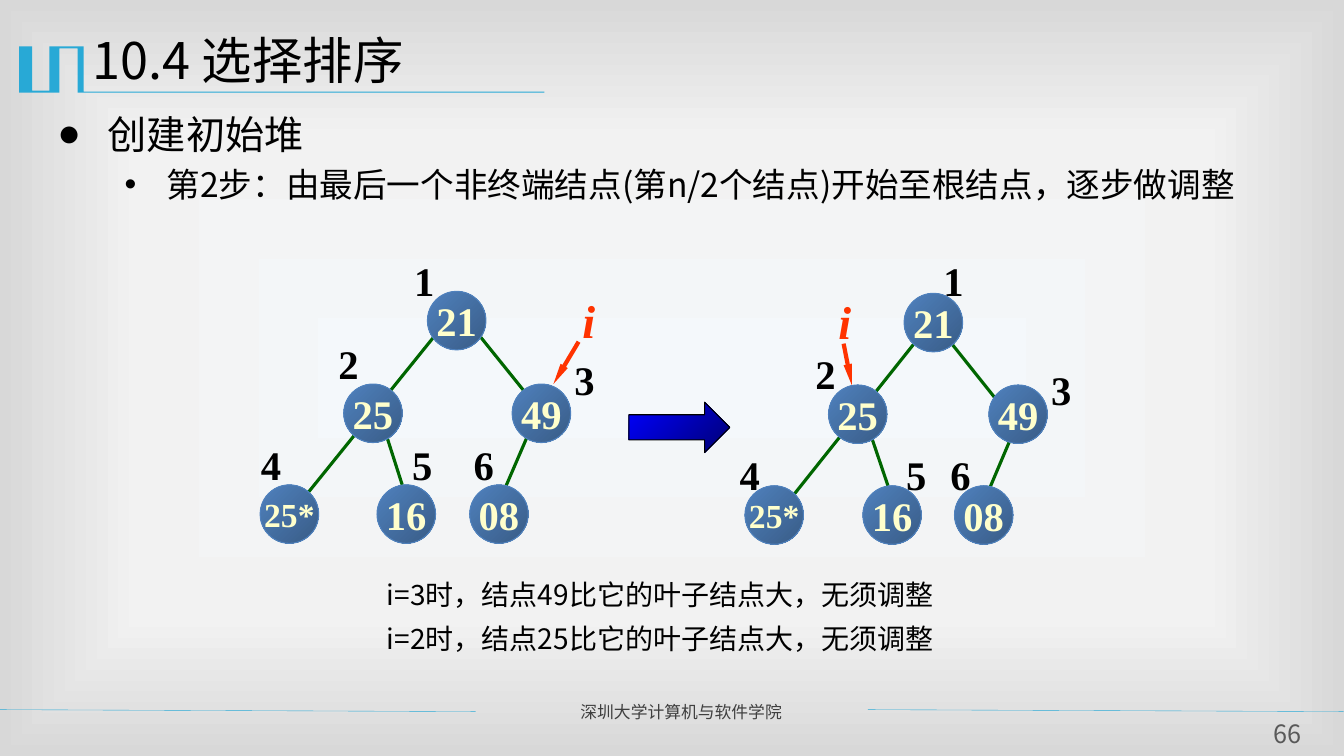
import copy

import lxml.etree
import pptx
import pptx.dml.color
import pptx.enum.shapes
import pptx.enum.text
import pptx.oxml
import pptx.oxml.ns
import pptx.util

TITLE = "10.4 选择排序"
OUTLINE = [
    ("创建初始堆", 28, "●", 36, 36),
    ("第2步：由最后一个非终端结点(第n/2个结点)开始至根结点，逐步做调整", 24, "•", 78, 30),
]
NOTES = [
    "i=3时，结点49比它的叶子结点大，无须调整",
    "i=2时，结点25比它的叶子结点大，无须调整",
]
FOOTER = "深圳大学计算机与软件学院"
PAGE_NUMBER = "66"

KEYS = ["21", "25", "49", "25*", "16", "08"]
TREES = [
    {
        "nodes": [(305.3, 208.1), (245.5, 274.3), (365.8, 274.3),
                  (185.8, 346.3), (269.3, 346.3), (335.5, 346.3)],
        "numbers": [(288.7, 179.3), (234.7, 238.3), (403.2, 249.8),
                    (179.3, 311), (287.3, 311), (331.2, 311)],
        "edges": [(377.3, 310.3, 359.3, 352.1), (275.8, 310.3, 287.3, 346.3),
                  (341.3, 238.3, 389.5, 298.1), (311.8, 238.3, 215.3, 357.8)],
        "pointer": (413.3, 244.1, 395.3, 274.3),
        "i": (409, 205.2),
    },
    {
        "nodes": [(645.8, 209.5), (591.8, 275), (706.3, 275),
                  (532.1, 347), (616.3, 347), (681.8, 347)],
        "numbers": [(666.7, 179.3), (575.3, 245.5), (743.8, 257),
                    (521.3, 317.5), (640.1, 317.5), (671.8, 317.5)],
        "edges": [(722.9, 311, 704.9, 353.5), (622.1, 311, 634.3, 347),
                  (674.6, 239, 722.9, 299.5), (658.1, 239, 562.3, 359.3)],
        "pointer": (602.6, 245.5, 608.4, 275),
        "i": (591.8, 205.9),
    },
]
NODE_SIZE = 41.8
BANNER = [(59.8, 33.1), (59.8, 65.5), (388.8, 65.5), (388.8, 66.2), (55.4, 66.2),
          (55.4, 34.6), (42.5, 34.6), (42.5, 66.2), (13.7, 66.2), (13.7, 33.1),
          (23, 33.1), (23, 64.8), (35.3, 64.8), (35.3, 33.1)]
FOOTER_LINES = [(-0.7, 506.9, 339.8, 508.3), (619.9, 506.9, 959.8, 508.3)]

COLORS = {
    "center": "F4F8FB", "middle": "F2F2F2", "rim": "D8D8D8", "accent": "28A9D6",
    "text": "000000", "footer": "3F3F3F", "number": "595959", "edge": "006600",
    "node": "4F81BD", "node_dark": "395C87", "key": "FFFFCC", "pointer": "FF3300",
    "arrow": "0000FF", "arrow_dark": "000076",
}
SANS = {"name": "Noto Sans CJK SC"}
SERIF = {"name": "Times New Roman", "bold": True}
NO_WRAP = {"word_wrap": False}
NO_MARGINS = {side: 0 for side in ("margin_left", "margin_right", "margin_top", "margin_bottom")}
ALIGN = pptx.enum.text.PP_ALIGN
SHAPE = pptx.enum.shapes.MSO_SHAPE

deck = pptx.Presentation()
deck.slide_width, deck.slide_height = pptx.util.Pt(960), pptx.util.Pt(540)
page = deck.slides.add_slide(deck.slide_layouts[1])


def points(*values):
    return [pptx.util.Pt(value) for value in values]


def rgb(name):
    return pptx.dml.color.RGBColor.from_string(COLORS[name])


def apply(target, values):
    for name, value in values.items():
        setattr(target, name, value)


def write(para, text, size, color, font):
    span = para.add_run()
    span.text = text
    apply(span.font, {**font, "size": pptx.util.Pt(size)})
    span.font.color.rgb = rgb(color)
    east = lxml.etree.SubElement(span.font._element, pptx.oxml.ns.qn("a:ea"))
    east.set("typeface", font["name"])


def place(box, left, top, width, height):
    names = ("left", "top", "width", "height")
    apply(box, dict(zip(names, points(left, top, width, height))))


def add_text(bounds, text, size, color, font, frame={}, align=ALIGN.LEFT):
    box = page.shapes.add_textbox(*points(*bounds))
    apply(box.text_frame, {"word_wrap": True, **frame})
    para = box.text_frame.paragraphs[0]
    para.alignment = align
    write(para, text, size, color, font)
    return box


def add_line(ends, color, width):
    line = page.shapes.add_connector(pptx.enum.shapes.MSO_CONNECTOR.STRAIGHT, *points(*ends))
    line.line.color.rgb = rgb(color)
    line.line.width = pptx.util.Pt(width)
    lxml.etree.SubElement(line._element.spPr, pptx.oxml.ns.qn("a:effectLst"))
    return line


def add_shaded(kind, bounds, start, end, outline):
    shape = page.shapes.add_shape(kind, *points(*bounds))
    shape.shadow.inherit = False
    shape.fill.gradient()
    shape.fill.gradient_angle = 315
    for stop, color, position in zip(shape.fill.gradient_stops, (start, end), (0, 1)):
        stop.color.rgb = rgb(color)
        stop.position = position
    shape.line.color.rgb = rgb(outline)
    shape.line.width = pptx.util.Pt(0.75)
    return shape


def paint_background():
    fill = page.background.fill
    fill.gradient()
    gradient = page.background._cSld.bg.bgPr.find(pptx.oxml.ns.qn("a:gradFill"))
    stops = gradient.find(pptx.oxml.ns.qn("a:gsLst"))
    stops.append(copy.deepcopy(stops[0]))
    for stop, color, position in zip(fill.gradient_stops, ("center", "middle", "rim"), (0, 0.63, 1)):
        stop.color.rgb = rgb(color)
        stop.position = position
    shading = pptx.oxml.parse_xml(
        '<a:path xmlns:a="http://schemas.openxmlformats.org/drawingml/2006/main" path="rect">'
        '<a:fillToRect l="50000" t="50000" r="50000" b="50000"/></a:path>')
    gradient.replace(gradient.find(pptx.oxml.ns.qn("a:lin")), shading)


def add_banner():
    builder = page.shapes.build_freeform(*points(*BANNER[0]))
    builder.add_line_segments([points(*corner) for corner in BANNER[1:]], close=True)
    banner = builder.convert_to_shape()
    banner.shadow.inherit = False
    banner.fill.solid()
    banner.fill.fore_color.rgb = rgb("accent")
    banner.line.fill.background()


def fill_placeholders():
    title, body = page.placeholders
    place(title, 59, 17.3, 864, 62.6)
    place(body, 33.8, 74.9, 873.4, 98.6)
    for box in (title, body):
        apply(box.text_frame, {"vertical_anchor": pptx.enum.text.MSO_ANCHOR.TOP,
                               "auto_size": pptx.enum.text.MSO_AUTO_SIZE.NONE})
    heading = title.text_frame.paragraphs[0]
    heading.alignment = ALIGN.LEFT
    write(heading, TITLE, 36, "text", SANS)
    for level, (text, size, bullet, margin, hang) in enumerate(OUTLINE):
        para = body.text_frame.add_paragraph() if level else body.text_frame.paragraphs[0]
        para.level = level
        properties = para._p.get_or_add_pPr()
        properties.set("marL", str(pptx.util.Pt(margin)))
        properties.set("indent", str(-pptx.util.Pt(hang)))
        mark = lxml.etree.SubElement(properties, pptx.oxml.ns.qn("a:buChar"))
        mark.set("char", bullet)
        para.space_before = pptx.util.Pt(4.8 if level else 0)
        write(para, text, size, "text", SANS)


def add_tree(tree):
    for ends in tree["edges"]:
        add_line(ends, "edge", 2.25)
    for key, corner in zip(KEYS, tree["nodes"]):
        node = add_shaded(SHAPE.OVAL, (*corner, NODE_SIZE, NODE_SIZE), "node", "node_dark", "node")
        apply(node.text_frame, {**NO_WRAP, "vertical_anchor": pptx.enum.text.MSO_ANCHOR.MIDDLE})
        para = node.text_frame.paragraphs[0]
        para.alignment = ALIGN.CENTER
        write(para, key, 24 if len(key) > 2 else 29, "key", SERIF)
    for number, corner in enumerate(tree["numbers"], 1):
        add_text((*corner, 28.8, 42.5), str(number), 29, "text", SERIF, NO_WRAP)
    pointer = add_line(tree["pointer"], "pointer", 3)
    head = lxml.etree.SubElement(pointer.line._get_or_add_ln(), pptx.oxml.ns.qn("a:tailEnd"))
    for name, value in {"type": "triangle", "w": "sm", "len": "lg"}.items():
        head.set(name, value)
    add_text((*tree["i"], 23.8, 46.8), "i", 33, "pointer", {**SERIF, "italic": True}, NO_WRAP)


paint_background()
add_banner()
for ends in FOOTER_LINES:
    add_line(ends, "accent", 0.25)
add_text((407.5, 497.5, 205.2, 21.6), FOOTER, 12, "footer", SANS, align=ALIGN.JUSTIFY)
fill_placeholders()
add_text((898.6, 513.4, 42.5, 22.3), PAGE_NUMBER, 18, "number", SANS, NO_MARGINS, ALIGN.CENTER)
for tree in TREES:
    add_tree(tree)
add_shaded(SHAPE.RIGHT_ARROW, (449.3, 287.3, 72, 36), "arrow", "arrow_dark", "text")
notes = add_text((269.3, 411.8, 480.2, 61.2), NOTES[0], 20, "text", SANS)
write(notes.text_frame.add_paragraph(), NOTES[1], 20, "text", SANS)
for para, gap in zip(notes.text_frame.paragraphs, (0, 10)):
    apply(para, {"line_spacing": 0.9, "space_before": pptx.util.Pt(gap)})
deck.save("out.pptx")
